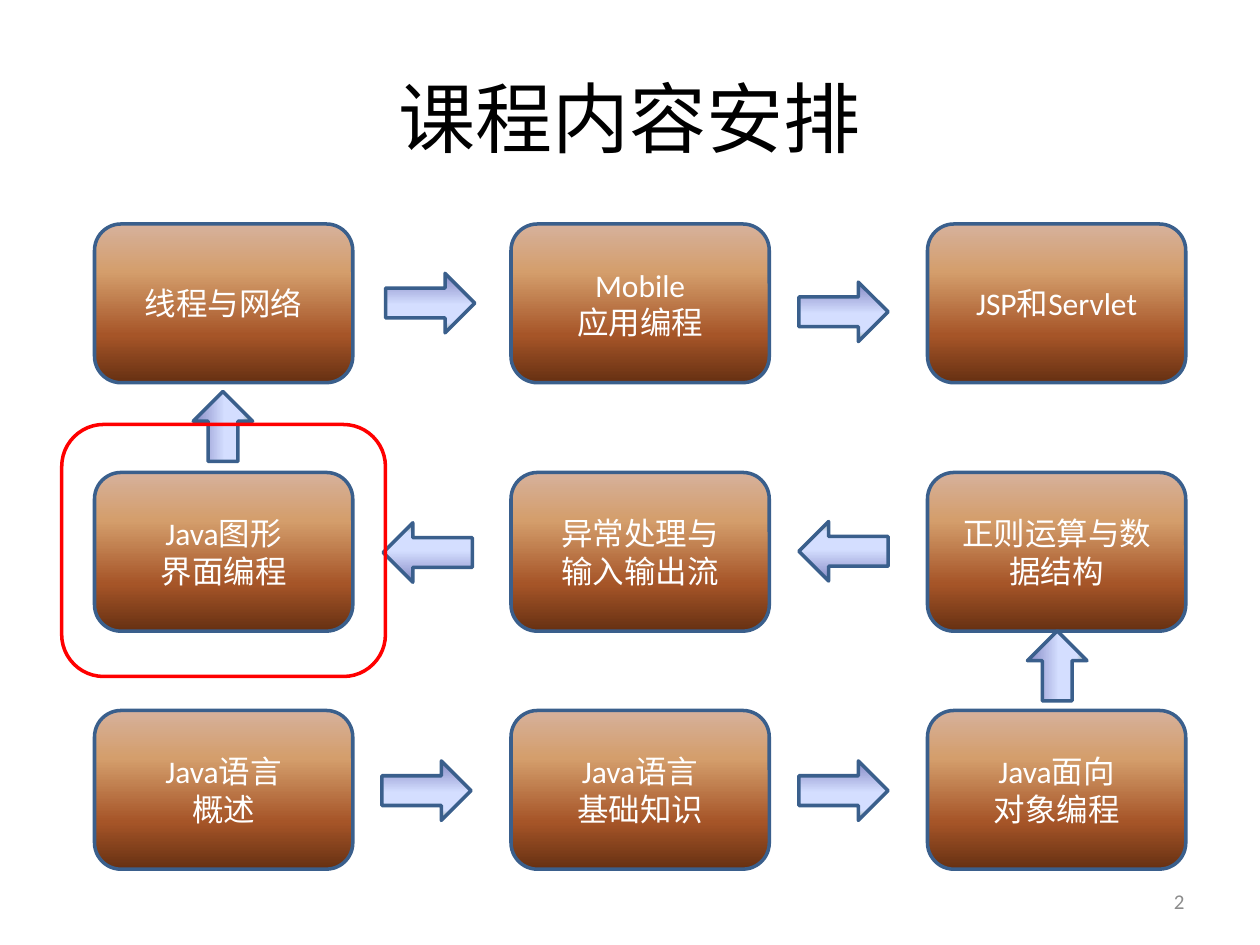
from lxml.etree import SubElement as Sub
from pptx import Presentation
from pptx.dml.color import RGBColor as Rgb
from pptx.enum.shapes import MSO_SHAPE as Kind
from pptx.enum.text import MSO_ANCHOR as Anchor, PP_ALIGN as Align
from pptx.oxml.ns import qn
from pptx.util import Pt

TITLE = "课程内容安排"
PAGE = "2"
FONT = "Calibri"
HUES = {"ink": "000000", "white": "FFFFFF", "edge": "3A5F8C",
        "ring": "FF0000", "grey": "8C8C8C"}
BROWN = [(0, "D6B19C"), (30, "D49E6C"), (70, "A65528"), (100, "663012")]
BLUE = [(0, "8488C4"), (53, "D4DEFF"), (83, "D4DEFF"), (100, "96AB94")]

TOPICS = [
    ["线程与网络", "Mobile\n应用编程", "JSP和Servlet"],
    ["Java图形\n界面编程", "异常处理与\n输入输出流", "正则运算与数据结构"],
    ["Java语言\n概述", "Java语言\n基础知识", "Java面向\n对象编程"],
]
COLS = [54, 292, 530]
ROWS = [128, 270, 406]
BOX = (147.6, 90.7)
ARROWS = [
    (243.7, 451.8, 0), (482, 451.8, 0), (604.1, 380.5, 270),
    (482, 315, 180), (244.4, 315.7, 180), (127.4, 243.7, 270),
    (245.8, 173.2, 0), (482, 178.2, 0),
]
LONG, SHORT, THICK = 51, 40, 34
RING = (35.3, 242.6, 185, 144)


def style(frame, size, hue, align):
    frame.word_wrap = True
    frame.vertical_anchor = Anchor.MIDDLE
    for para in frame.paragraphs:
        para.alignment = align
        for run in para.runs:
            run.font.name = FONT
            run.font.size = Pt(size)
            run.font.color.rgb = Rgb.from_string(HUES[hue])


def draw(slide, kind, area, edge, stops=None):
    shape = slide.shapes.add_shape(kind, *map(Pt, area))
    shape.shadow.inherit = False
    shape.line.color.rgb = Rgb.from_string(HUES[edge])
    shape.line.width = Pt(2)
    if not stops:
        shape.fill.background()
        return shape
    shape.fill.gradient()
    shape.fill.gradient_angle = 270
    ramp = shape._element.spPr.find(".//" + qn("a:gsLst"))
    for old in list(ramp):
        ramp.remove(old)
    for part, hue in stops:
        stop = Sub(ramp, qn("a:gs"), pos=str(part * 1000))
        Sub(stop, qn("a:srgbClr"), val=hue)
    return shape


def main():
    deck = Presentation()
    deck.slide_width, deck.slide_height = Pt(720), Pt(540)
    slide = deck.slides.add_slide(deck.slide_layouts[5])

    title = slide.shapes.title
    title.left, title.top, title.width, title.height = map(Pt, (36, 21.6, 648, 90))
    title.text_frame.text = TITLE
    style(title.text_frame, 44, "ink", Align.CENTER)

    for top, names in zip(ROWS, TOPICS):
        for left, name in zip(COLS, names):
            box = draw(slide, Kind.ROUNDED_RECTANGLE, (left, top, *BOX), "edge", BROWN)
            box.text_frame.text = name
            style(box.text_frame, 18, "white", Align.CENTER)

    for x, y, turn in ARROWS:
        span = SHORT if turn == 270 else LONG
        area = (x - span / 2, y - THICK / 2, span, THICK)
        draw(slide, Kind.RIGHT_ARROW, area, "edge", BLUE).rotation = turn

    draw(slide, Kind.ROUNDED_RECTANGLE, RING, "ring")

    page = slide.shapes.add_textbox(*map(Pt, (516, 500.5, 168, 28.8)))
    page.text_frame.text = PAGE
    style(page.text_frame, 12, "grey", Align.RIGHT)

    deck.save("out.pptx")


if __name__ == "__main__":
    main()
